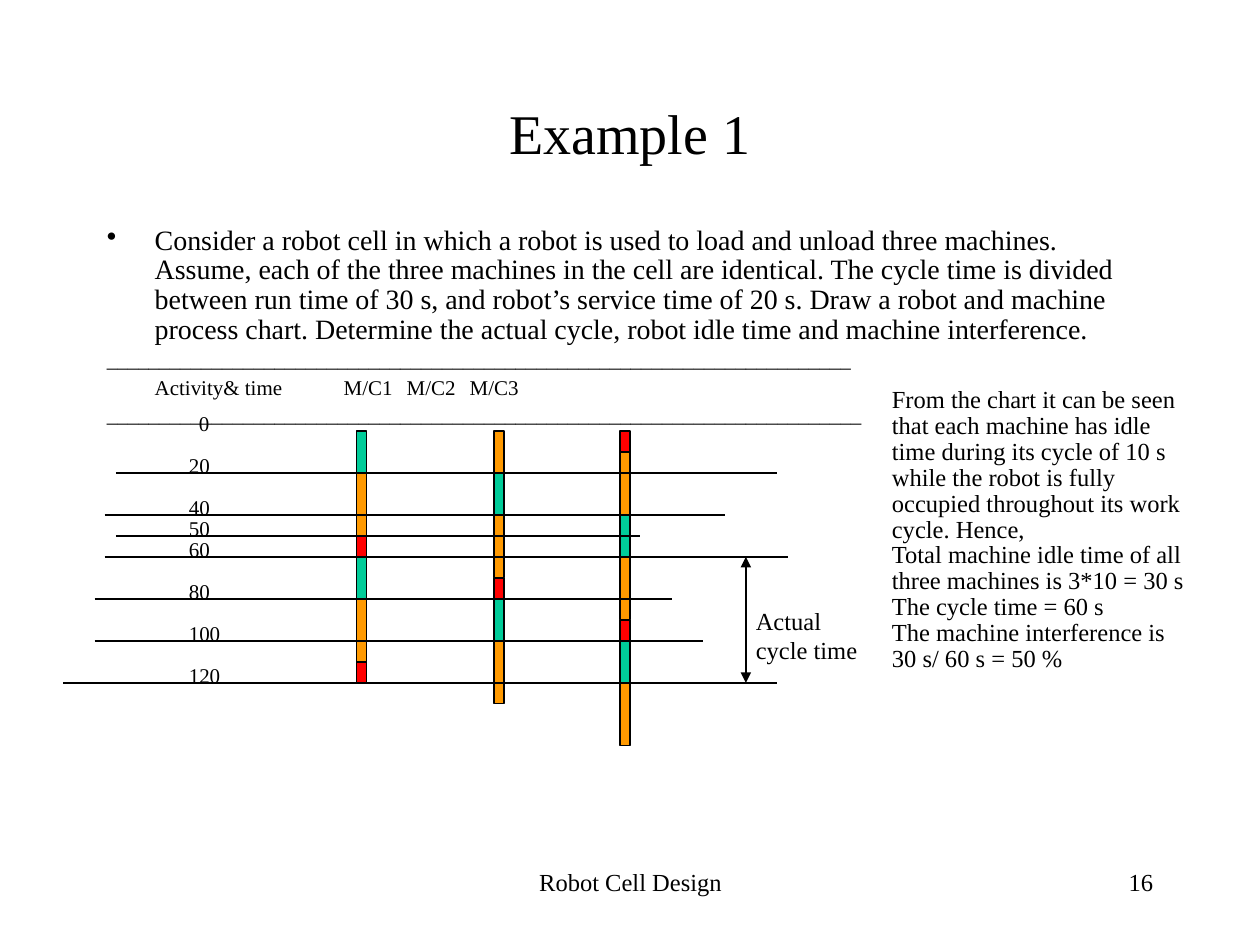
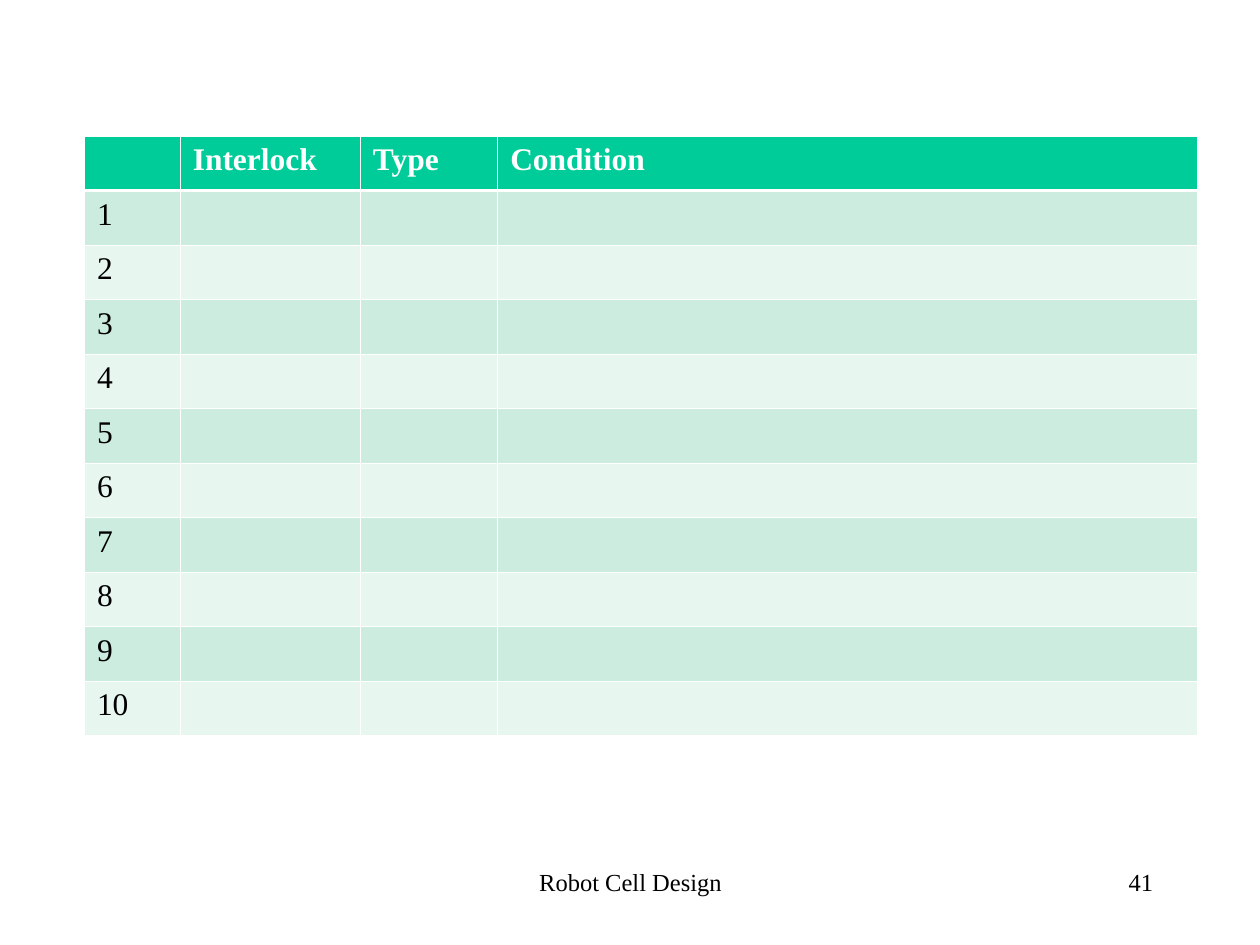
import dataclasses

import lxml.etree
import pptx
import pptx.dml.color
import pptx.enum.shapes
import pptx.enum.text
import pptx.oxml.ns
import pptx.util

Inches = pptx.util.Inches
Pt = pptx.util.Pt
qn = pptx.oxml.ns.qn
ALIGN = pptx.enum.text.PP_ALIGN


@dataclasses.dataclass(frozen=True)
class Theme:
    font: str = "Times New Roman"
    ink: str = "000000"
    paper: str = "FFFFFF"
    service: str = "00CC99"
    run: str = "FF9900"
    idle: str = "FF0000"
    header: str = "00CC99"
    bands: tuple = ("CBECDE", "E7F6EF")
    title: int = 32
    table: int = 18
    body: int = 16
    note: int = 14
    label: int = 12
    line: float = 0.75
    border: float = 0.45
    header_border: float = 1.47
    tight: float = 0.88


THEME = Theme()
FOOTER = "Robot Cell Design"
TITLE_ONLY, BLANK = 5, 6

PROBLEM = (
    "Consider a robot cell in which a robot is used to load and unload three machines. "
    "Assume, each of the three machines in the cell are identical. The cycle time is divided "
    "between run time of 30 s, and robot’s service time of 20 s. Draw a robot and machine "
    "process chart. Determine the actual cycle, robot idle time and machine interference."
)
FINDINGS = [
    "From the chart it can be seen that each machine has idle time during its cycle of 10 s",
    "while the robot is fully occupied throughout its work cycle. Hence,",
    "Total machine idle time of all three machines is 3*10 = 30 s",
    "The cycle time = 60 s",
    "The machine interference is 30 s/ 60 s = 50 %",
]

SERVICE, RUN, IDLE = (THEME.service, 20), (THEME.run, 30), (THEME.idle, 10)
CYCLE = [SERVICE, RUN, IDLE]
MACHINES = [
    (2.33, CYCLE * 2),
    (3.42, [(THEME.run, 20), *CYCLE, SERVICE, RUN]),
    (4.42, [IDLE, RUN, SERVICE, RUN, IDLE, SERVICE, RUN]),
]
TIME_LINES = [
    (20, 0.42, 5.67),
    (40, 0.33, 5.25),
    (50, 0.42, 4.58),
    (60, 0.33, 5.75),
    (80, 0.25, 4.83),
    (100, 0.25, 5.08),
    (120, 0, 5.67),
]
SECONDS_PER_INCH = 60
BAR_WIDTH = 0.08


def rgb(value):
    return pptx.dml.color.RGBColor.from_string(value)


def style(para, size, color=THEME.ink, bold=False, align=ALIGN.LEFT):
    para.alignment = align
    for span in para.runs:
        span.font.name = THEME.font
        span.font.size = Pt(size)
        span.font.bold = bold
        span.font.color.rgb = rgb(color)


def add_text(page, box, lines, size, align=ALIGN.LEFT, spacing=None):
    shape = page.shapes.add_textbox(*map(Inches, box))
    frame = shape.text_frame
    frame.word_wrap = True
    frame.text = "\n".join(lines)
    for para in frame.paragraphs:
        style(para, size, align=align)
        if spacing:
            para.line_spacing = spacing
    return frame


def add_line(page, start, end, arrows=False):
    line = page.shapes.add_connector(
        pptx.enum.shapes.MSO_CONNECTOR.STRAIGHT, *map(Inches, (*start, *end))
    )
    line.line.color.rgb = rgb(THEME.ink)
    line.line.width = Pt(THEME.line)
    if arrows:
        outline = line.line._get_or_add_ln()
        for end_tag in ("a:headEnd", "a:tailEnd"):
            lxml.etree.SubElement(outline, qn(end_tag), type="triangle")
    lxml.etree.SubElement(line._element.spPr, qn("a:effectLst"))


def add_footer(page, number):
    add_text(page, (3.42, 6.83, 3.17, 0.5), [FOOTER], THEME.note, ALIGN.CENTER)
    add_text(page, (7.17, 6.83, 2.08, 0.5), [str(number)], THEME.note, ALIGN.RIGHT)


def add_title(page, box, text):
    title = page.shapes.title
    title.left, title.top, title.width, title.height = map(Inches, box)
    title.text_frame.text = text
    title.text_frame.vertical_anchor = pptx.enum.text.MSO_ANCHOR.MIDDLE
    style(title.text_frame.paragraphs[0], THEME.title, align=ALIGN.CENTER)


def add_problem(page, box):
    headings = "\tActivity& time\tM/C1\tM/C2\tM/C3"
    lines = [PROBLEM, "_" * 71, headings, "_" * 72]
    frame = add_text(page, box, lines, THEME.label, spacing=THEME.tight)
    for index, para in enumerate(frame.paragraphs):
        properties = para._p.get_or_add_pPr()
        properties.set("marL", str(Inches(0.38)))
        properties.set("indent", str(-Inches(0.38)))
        if index == 0:
            lxml.etree.SubElement(properties, qn("a:buChar"), char="•")
            style(para, THEME.body)
            continue
        para.space_before = Pt(3)
        lxml.etree.SubElement(properties, qn("a:buNone"))
        tabs = lxml.etree.SubElement(properties, qn("a:tabLst"))
        for position in range(8):
            lxml.etree.SubElement(tabs, qn("a:tab"), pos=str(Inches(position)), algn="l")


def add_process_chart(page, box):
    left, top = box[:2]

    def at(seconds):
        return top + seconds / SECONDS_PER_INCH

    for offset, segments in MACHINES:
        elapsed = 0
        for color, seconds in segments:
            bar = page.shapes.add_shape(
                pptx.enum.shapes.MSO_SHAPE.RECTANGLE,
                Inches(left + offset), Inches(at(elapsed)),
                Inches(BAR_WIDTH), Inches(seconds / SECONDS_PER_INCH),
            )
            bar.shadow.inherit = False
            bar.fill.solid()
            bar.fill.fore_color.rgb = rgb(color)
            bar.line.color.rgb = rgb(THEME.ink)
            bar.line.width = Pt(THEME.line)
            elapsed += seconds

    for seconds, start, end in TIME_LINES:
        add_line(page, (left + start, at(seconds)), (left + end, at(seconds)))
    for seconds in [0, *(row[0] for row in TIME_LINES)]:
        indent = 0.9 if seconds else 0.98
        add_text(page, (left + indent, at(seconds) - 0.21, 0.58, 0.3), [str(seconds)], THEME.label)

    add_line(page, (left + 5.42, at(60)), (left + 5.42, at(120)), arrows=True)
    add_text(page, (left + 5.4, top + 1.34, 1.1, 0.57), ["Actual", "cycle time"], THEME.note)


def set_border(cell, side, width):
    border = lxml.etree.SubElement(
        cell._tc.get_or_add_tcPr(), qn(f"a:ln{side}"), w=str(Pt(width))
    )
    fill = lxml.etree.SubElement(border, qn("a:solidFill"))
    lxml.etree.SubElement(fill, qn("a:srgbClr"), val=THEME.paper)


def add_interlock_table(page, box):
    headings = ["", "Interlock", "Type", "Condition"]
    rows = [headings] + [[str(number), "", "", ""] for number in range(1, 11)]
    table = page.shapes.add_table(len(rows), len(headings), *map(Inches, box)).table
    table.first_row = table.horz_banding = False
    for column, width in zip(table.columns, (0.76, 1.43, 1.09, 5.55)):
        column.width = Inches(width)
    for row_index, texts in enumerate(rows):
        is_header = row_index == 0
        fill = THEME.header if is_header else THEME.bands[(row_index - 1) % 2]
        widths = {side: THEME.border for side in "LRTB"}
        if row_index < 2:
            widths["B" if is_header else "T"] = THEME.header_border
        for column_index, text in enumerate(texts):
            cell = table.cell(row_index, column_index)
            for side, width in widths.items():
                set_border(cell, side, width)
            cell.fill.solid()
            cell.fill.fore_color.rgb = rgb(fill)
            if text:
                cell.text_frame.text = text
                color = THEME.paper if is_header else THEME.ink
                style(cell.text_frame.paragraphs[0], THEME.table, color, is_header)


def build_example(deck):
    page = deck.slides.add_slide(deck.slide_layouts[TITLE_ONLY])
    add_footer(page, 16)
    add_title(page, (0.75, 0.67, 8.5, 0.75), "Example 1")
    add_problem(page, (0.75, 1.75, 8.5, 4.92))
    add_process_chart(page, (0.5, 3.42, 6.5, 2.5))
    add_text(page, (6.98, 3.03, 2.52, 2.6), FINDINGS, THEME.note, spacing=THEME.tight)


def build_interlocks(deck):
    page = deck.slides.add_slide(deck.slide_layouts[BLANK])
    add_footer(page, 41)
    add_interlock_table(page, (0.67, 1.08, 8.83, 4.76))


def main():
    deck = pptx.Presentation()
    deck.slide_width, deck.slide_height = Inches(10), Inches(7.5)
    build_example(deck)
    build_interlocks(deck)
    deck.save("out.pptx")


if __name__ == "__main__":
    main()
